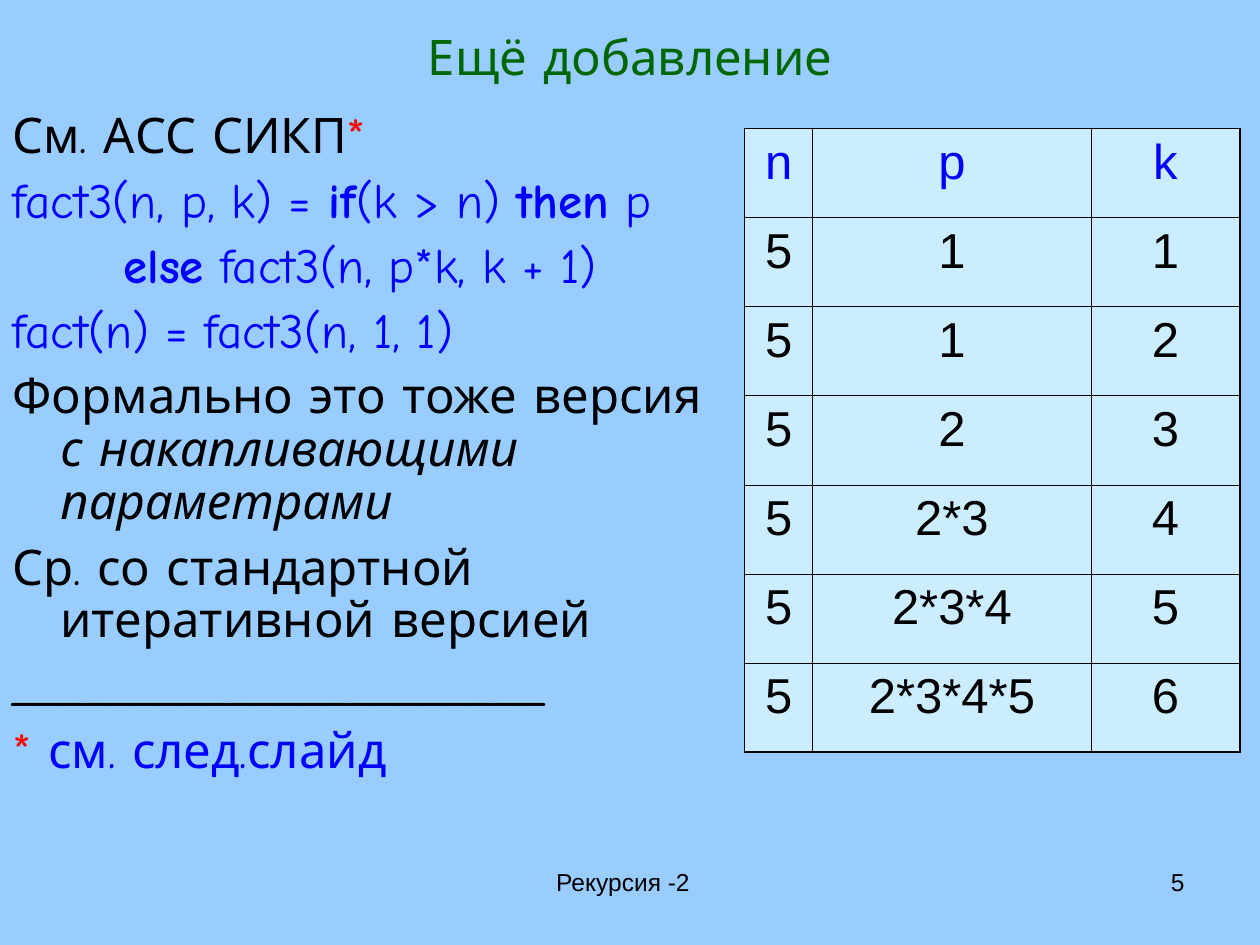
import pptx
import pptx.util
import pptx.dml.color
import pptx.enum.text
import pptx.oxml
import pptx.oxml.ns
from lxml import etree

Inches, Pt = pptx.util.Inches, pptx.util.Pt
RGB = pptx.dml.color.RGBColor.from_string
ALIGN = pptx.enum.text.PP_ALIGN
ANCHOR = pptx.enum.text.MSO_ANCHOR
NO_FIT = pptx.enum.text.MSO_AUTO_SIZE.NONE
qn = pptx.oxml.ns.qn

THEME = {
    "background": "99CCFF", "cell": "CCECFF", "title": "006600",
    "text": "000000", "code": "0000FF", "mark": "FF0000",
    "main_size": 28, "footer_size": 14,
    "text_font": "Comic Neue", "table_font": "Arial",
    "outer_line": 1.08, "inner_line": 0.45,
}


def add_run(p, text, color="text", font="text_font", size="main_size", **style):
    r = p.add_run()
    r.text = text
    values = {"name": THEME[font], "size": Pt(THEME[size]), **style}
    for name, value in values.items():
        setattr(r.font, name, value)
    r.font.color.rgb = RGB(THEME[color])


def place(sp, left, top, width, height):
    box = {"left": left, "top": top, "width": width, "height": height}
    for name, value in box.items():
        setattr(sp, name, Inches(value))
    tf = sp.text_frame
    tf.word_wrap = True
    tf.auto_size = NO_FIT
    return tf


prs = pptx.Presentation()
prs.slide_width, prs.slide_height = Inches(10), Inches(7.5)
s = prs.slides.add_slide(prs.slide_layouts[1])
s.background.fill.solid()
s.background.fill.fore_color.rgb = RGB(THEME["background"])

# Footer and slide number
for text, left, width, align in [("Рекурсия -2", 3.36, 3.17, ALIGN.CENTER),
                                 ("5", 7.17, 2.33, ALIGN.RIGHT)]:
    sp = s.shapes.add_textbox(0, 0, 0, 0)
    p = place(sp, left, 6.83, width, 0.52).paragraphs[0]
    p.alignment = align
    add_run(p, text, font="table_font", size="footer_size")

# Title
tf = place(s.shapes.title, 0.5, 0.3, 9, 0.28)
tf.vertical_anchor = ANCHOR.MIDDLE
p = tf.paragraphs[0]
p.alignment = ALIGN.CENTER
add_run(p, "Ещё добавление", "title")

# Body: each paragraph is a list of (text, color, style) runs
bold, italic, plain = {"bold": True}, {"italic": True}, {}
body = [
    [("См. АСС СИКП", "text", plain), ("*", "mark", plain)],
    [("fact3(n, p, k) =", "code", plain), (" if", "code", bold),
     ("(k > n) ", "code", plain), ("then", "code", bold), (" p", "code", plain)],
    [("\t\t", "code", plain), ("else", "code", bold),
     (" fact3(n, p*k, k + 1)", "code", plain)],
    [("fact(n) = fact3(n, 1, 1)", "code", plain)],
    [("Формально это тоже версия ", "text", plain),
     ("с накапливающими параметрами", "text", italic)],
    [("Ср. со стандартной итеративной версией", "text", plain)],
    [("_" * 22, "text", plain)],
    [("* ", "mark", plain), ("см. след.слайд", "code", plain)],
]
tf = place(s.placeholders[1], 0, 0.83, 5.83, 5.59)
for i, runs in enumerate(body):
    p = tf.add_paragraph() if i else tf.paragraphs[0]
    p.line_spacing = 0.9
    p.space_before = Pt(7 if i else 0)
    pPr = p._p.get_or_add_pPr()
    pPr.set("marL", str(Inches(0.38)))
    pPr.set("indent", str(Inches(-0.38)))
    etree.SubElement(pPr, qn("a:buNone"))
    tabs = etree.SubElement(pPr, qn("a:tabLst"))
    for inch in range(8):
        etree.SubElement(tabs, qn("a:tab"), pos=str(Inches(inch)), algn="l")
    for text, color, style in runs:
        add_run(p, text, color, **style)

# Trace table of the calls
rows = [("n", "p", "k"), ("5", "1", "1"), ("5", "1", "2"), ("5", "2", "3"),
        ("5", "2*3", "4"), ("5", "2*3*4", "5"), ("5", "2*3*4*5", "6")]
widths = [0.54, 2.21, 1.18]
last_row, last_col = len(rows) - 1, len(widths) - 1
table = s.shapes.add_table(len(rows), len(widths), Inches(5.91), Inches(1.02),
                           Inches(sum(widths)), Inches(4.95)).table
table.first_row = table.horz_banding = False
for column, width in zip(table.columns, widths):
    column.width = Inches(width)
for i, row in enumerate(rows):
    for j, text in enumerate(row):
        cell = table.cell(i, j)
        p = cell.text_frame.paragraphs[0]
        p.alignment = ALIGN.CENTER
        add_run(p, text, "text" if i else "code", "table_font")
        # Heavier lines on the outer edge
        tcPr = cell._tc.get_or_add_tcPr()
        edges = {"L": j == 0, "R": j == last_col, "T": i == 0, "B": i == last_row}
        for side, outer in edges.items():
            weight = THEME["outer_line" if outer else "inner_line"]
            ln = etree.SubElement(tcPr, qn("a:ln" + side), w=str(Pt(weight)))
            fill = etree.SubElement(ln, qn("a:solidFill"))
            etree.SubElement(fill, qn("a:srgbClr"), val=THEME["text"])
        cell.fill.solid()
        cell.fill.fore_color.rgb = RGB(THEME["cell"])

prs.save("out.pptx")
